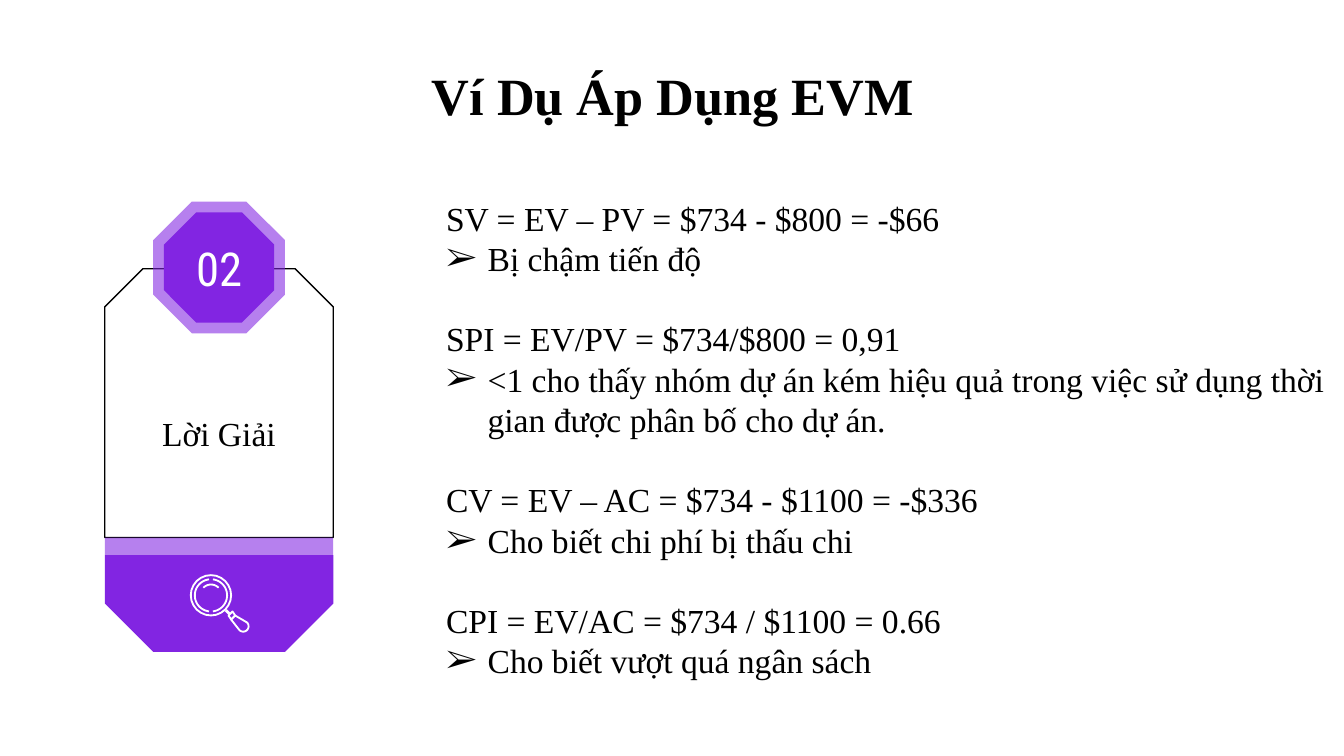
from dataclasses import dataclass
from math import cos, radians, sin
from typing import NamedTuple, Optional

from lxml.etree import SubElement as Sub
from pptx import Presentation
from pptx.dml.color import RGBColor as Color
from pptx.enum.shapes import MSO_SHAPE as Kind
from pptx.enum.text import MSO_ANCHOR as Anchor, MSO_AUTO_SIZE as Fit, PP_ALIGN as Align
from pptx.oxml.ns import qn
from pptx.util import Inches, Pt


@dataclass(frozen=True)
class Theme:
    """Colours, fonts and type sizes."""
    black: Color = Color(0, 0, 0)
    white: Color = Color(255, 255, 255)
    violet: Color = Color(0x82, 0x25, 0xE2)
    serif: str = "Times New Roman"
    narrow: str = "Roboto Condensed"
    head: int = 28
    body: int = 18
    badge: int = 25
    gap: float = 21.5


class Part(NamedTuple):
    """One preset shape of the card."""
    kind: Kind
    box: tuple[float, float, float, float]
    fill: Color
    snips: tuple[float, ...] = ()
    alpha: int = 100
    turn: int = 0
    line: Optional[Color] = None


class Fact(NamedTuple):
    """A formula and what it tells."""
    sum: str
    note: str


class Stroke(NamedTuple):
    """An icon line through given points."""
    points: list[tuple[float, float]]
    closed: bool = False
    width: float = 1


T = Theme()
LENS = (1.57, 4.43)


def arc(mid: tuple[float, float], size: float, start: int, end: int) -> list[tuple[float, float]]:
    """Return points along a circle arc."""
    steps = 24
    turns = [radians(start + (end - start) * i / steps) for i in range(steps + 1)]
    return [(mid[0] + size * cos(a), mid[1] + size * sin(a)) for a in turns]


PARTS = {
    "card": Part(Kind.SNIP_2_SAME_RECTANGLE, (0.78, 2, 1.7, 2), T.white, (0.167, 0), line=T.black),
    "base": Part(Kind.SNIP_2_SAME_RECTANGLE, (0.78, 4.13, 1.7, 0.72), T.violet, (0.5, 0), turn=180),
    "band": Part(Kind.RECTANGLE, (0.78, 4, 1.7, 0.13), T.violet, alpha=58),
    "ring": Part(Kind.OCTAGON, (1.14, 1.5, 0.98, 0.98), T.violet, (0.293,), alpha=58),
    "badge": Part(Kind.OCTAGON, (1.22, 1.58, 0.82, 0.82), T.violet, (0.293,)),
}
STROKES = [
    Stroke(arc(LENS, 0.15, 0, 360), True),
    Stroke(arc(LENS, 0.12, -83, 83)),
    Stroke(arc(LENS, 0.12, 97, 263)),
    Stroke(arc(LENS, 0.08, 225, 315)),
    Stroke([(1.68, 4.54), (1.71, 4.57)], width=1.5),
    Stroke([(1.7, 4.58), (1.73, 4.55), (1.75, 4.58), (1.72, 4.61)], True),
    Stroke([(1.72, 4.61), (1.75, 4.58)] + arc((1.81, 4.66), 0.04, -45, 135), True),
]
FACTS = [
    Fact("SV = EV – PV = $734 - $800 = -$66", "Bị chậm tiến độ"),
    Fact("SPI = EV/PV = $734/$800 = 0,91",
         "<1 cho thấy nhóm dự án kém hiệu quả trong việc sử dụng thời gian "
         "được phân bố cho dự án."),
    Fact("CV = EV – AC = $734 - $1100 = -$336", "Cho biết chi phí bị thấu chi"),
    Fact("CPI = EV/AC = $734 / $1100 = 0.66", "Cho biết vượt quá ngân sách"),
]


def style(para, size: int, color: Color = T.black, face: str = T.serif, bold: bool = False) -> None:
    """Format every run of a paragraph."""
    for run in para.runs:
        font = run.font
        font.name, font.size, font.bold = face, Pt(size), bold
        font.color.rgb = color


def label(shape, text: str, size: int, color: Color = T.black, face: str = T.serif,
          top: float = 0.1, bold: bool = False) -> None:
    """Write centred text in a shape."""
    frame = shape.text_frame
    frame.text = text
    frame.word_wrap = True
    frame.vertical_anchor = Anchor.MIDDLE
    frame.margin_left = frame.margin_right = frame.margin_bottom = Inches(0.1)
    frame.margin_top = Inches(top)
    para = frame.paragraphs[0]
    para.alignment = Align.CENTER
    style(para, size, color, face, bold)


def draw(shapes, part: Part):
    """Add a preset shape."""
    shape = shapes.add_shape(part.kind, *map(Inches, part.box))
    shape.shadow.inherit = False
    shape.rotation = part.turn
    for i, snip in enumerate(part.snips):
        shape.adjustments[i] = snip
    shape.fill.solid()
    shape.fill.fore_color.rgb = part.fill
    if part.alpha < 100:
        tint = shape.element.spPr.find(f"{qn('a:solidFill')}/{qn('a:srgbClr')}")
        Sub(tint, qn("a:alpha"), val=str(part.alpha * 1000))
    if part.line is None:
        shape.line.fill.background()
    else:
        shape.line.color.rgb = part.line
        shape.line.width = Pt(0.75)
    return shape


def trace(shapes, stroke: Stroke) -> None:
    """Add a white icon line."""
    first, *rest = [(Inches(x), Inches(y)) for x, y in stroke.points]
    pen = shapes.build_freeform(*first)
    pen.add_line_segments(rest, close=stroke.closed)
    shape = pen.convert_to_shape()
    shape.shadow.inherit = False
    shape.fill.background()
    shape.line.color.rgb = T.white
    shape.line.width = Pt(stroke.width)


def bullet(para) -> None:
    """Give a paragraph an arrow bullet."""
    props = para._p.get_or_add_pPr()
    props.set("marL", str(Inches(0.31)))
    props.set("indent", str(-Inches(0.31)))
    Sub(Sub(props, qn("a:buClr")), qn("a:srgbClr"), val=str(T.black))
    Sub(props, qn("a:buFont"), typeface=T.serif)
    Sub(props, qn("a:buChar"), char="➢")


def list_facts(shapes, facts: list[Fact]) -> None:
    """Add the formulas with their notes."""
    frame = shapes.add_textbox(*map(Inches, (3.22, 1.42, 6.78, 4.04))).text_frame
    frame.word_wrap = True
    frame.auto_size = Fit.SHAPE_TO_FIT_TEXT
    for i, fact in enumerate(facts):
        head = frame.add_paragraph() if i else frame.paragraphs[0]
        head.text = fact.sum
        if i:
            head.space_before = Pt(T.gap)
        note = frame.add_paragraph()
        note.text = fact.note
        bullet(note)
        for para in (head, note):
            style(para, T.body)


def main() -> None:
    """Build and save the slide."""
    deck = Presentation()
    deck.slide_width = Inches(10)
    deck.slide_height = deck.slide_width * 9 // 16
    shapes = deck.slides.add_slide(deck.slide_layouts[5]).shapes
    title = shapes.title
    title.left, title.top, title.width, title.height = map(Inches, (0.78, 0.44, 8.45, 0.53))
    label(title, "Ví Dụ Áp Dụng EVM", T.head, bold=True)
    group = shapes.add_group_shape().shapes
    card = {name: draw(group, part) for name, part in PARTS.items()}
    label(card["card"], "Lời Giải", T.body, top=0.4)
    label(card["badge"], "02", T.badge, T.white, T.narrow)
    icon = shapes.add_group_shape().shapes
    for stroke in STROKES:
        trace(icon, stroke)
    list_facts(shapes, FACTS)
    deck.save("out.pptx")


if __name__ == "__main__":
    main()
